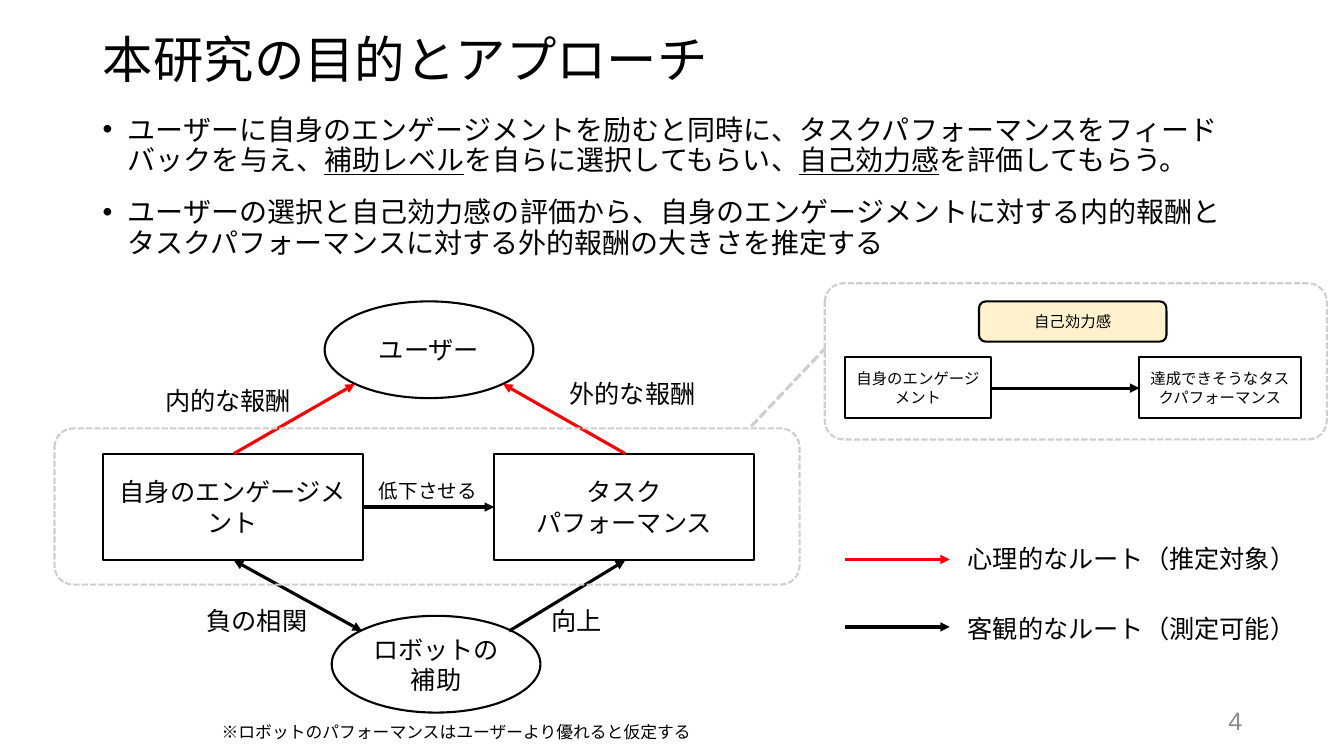
from lxml import etree
from pptx import Presentation
from pptx.dml.color import RGBColor
from pptx.enum.dml import MSO_LINE
from pptx.enum.shapes import MSO_CONNECTOR, MSO_SHAPE
from pptx.enum.text import MSO_ANCHOR, MSO_AUTO_SIZE, PP_ALIGN
from pptx.oxml.ns import qn
from pptx.util import Inches, Pt

STRAIGHT = MSO_CONNECTOR.STRAIGHT
RECTANGLE, ELLIPSE, ROUNDED = MSO_SHAPE.RECTANGLE, MSO_SHAPE.OVAL, MSO_SHAPE.ROUNDED_RECTANGLE
DASH = MSO_LINE.SQUARE_DOT
LEFT, CENTER, RIGHT = PP_ALIGN.LEFT, PP_ALIGN.CENTER, PP_ALIGN.RIGHT
TOP, MIDDLE = MSO_ANCHOR.TOP, MSO_ANCHOR.MIDDLE
FIXED = MSO_AUTO_SIZE.NONE
FONT = "Arial"
COLORS = {
    "white": "FFFFFF",
    "black": "000000",
    "red": "FF0000",
    "cream": "FFF2CC",
    "frame": "D0CECE",
    "number": "8C8C8C",
}
GOALS = [
    [
        ("ユーザーに自身のエンゲージメントを励むと同時に、タスクパフォーマンスをフィードバックを与え、", False),
        ("補助レベル", True),
        ("を自らに選択してもらい、", False),
        ("自己効力感", True),
        ("を評価してもらう。", False),
    ],
    [
        ("ユーザーの選択と自己効力感の評価から、自身のエンゲージメントに対する内的報酬と"
         "タスクパフォーマンスに対する外的報酬の大きさを推定する", False),
    ],
]


def color(name):
    return RGBColor.from_string(COLORS[name])


def format_text(frame, size, align, anchor, tint="black"):
    frame.auto_size = FIXED
    frame.vertical_anchor = anchor
    for para in frame.paragraphs:
        para.alignment = align
        for span in para.runs:
            span.font.name = FONT
            span.font.size = Pt(size)
            span.font.color.rgb = color(tint)


def add_title(page, text):
    title = page.shapes.title
    title.left, title.top = Inches(0.92), Inches(0.15)
    title.width, title.height = Inches(11.5), Inches(0.93)
    title.text_frame.text = text
    title.text_frame.paragraphs[0].line_spacing = 0.9
    format_text(title.text_frame, 36, LEFT, MIDDLE)


def add_label(page, place, text, size=18, wrap=False, align=LEFT, anchor=TOP, tint="black"):
    box = page.shapes.add_textbox(*map(Inches, place))
    box.text_frame.word_wrap = wrap
    box.text_frame.text = text
    format_text(box.text_frame, size, align, anchor, tint)


def add_bullets(page, place, items):
    frame = page.shapes.add_textbox(*map(Inches, place)).text_frame
    frame.word_wrap = True
    for index, item in enumerate(items):
        para = frame.add_paragraph() if index else frame.paragraphs[0]
        para.line_spacing = 0.9
        para.space_before = Pt(16)
        for text, underlined in item:
            span = para.add_run()
            span.text = text
            span.font.underline = underlined
        properties = para._p.get_or_add_pPr()
        properties.set("marL", str(Inches(0.25)))
        properties.set("indent", str(Inches(-0.25)))
        etree.SubElement(properties, qn("a:buFont"), typeface=FONT)
        etree.SubElement(properties, qn("a:buChar"), char="•")
    format_text(frame, 20, LEFT, TOP)


def add_node(page, kind, place, text, size=18, fill="white"):
    node = page.shapes.add_shape(kind, *map(Inches, place))
    node.shadow.inherit = False
    node.fill.solid()
    node.fill.fore_color.rgb = color(fill)
    node.line.color.rgb = color("black")
    node.line.width = Pt(1.5)
    node.text_frame.word_wrap = True
    node.text_frame.text = text
    format_text(node.text_frame, size, CENTER, MIDDLE)


def add_frame(page, place):
    frame = page.shapes.add_shape(ROUNDED, *map(Inches, place))
    frame.shadow.inherit = False
    frame.adjustments[0] = 0.12
    frame.fill.background()
    frame.line.color.rgb = color("frame")
    frame.line.width = Pt(1.5)
    frame.line.dash_style = DASH


def add_line(page, start, end, tint="black", ends=("tailEnd",), dash=None):
    link = page.shapes.add_connector(STRAIGHT, *map(Inches, start + end))
    link.line.color.rgb = color(tint)
    link.line.width = Pt(2.25)
    if dash:
        link.line.dash_style = dash
    outline = link.line._get_or_add_ln()
    for end_name in ends:
        etree.SubElement(outline, qn("a:" + end_name), type="triangle")
    etree.SubElement(link._element.spPr, qn("a:effectLst"))


def add_reward_model(page):
    add_node(page, ELLIPSE, (3.22, 2.99, 2.07, 0.96), "ユーザー")
    add_node(page, RECTANGLE, (4.9, 4.5, 2.58, 1.06), "タスク\nパフォーマンス")
    add_node(page, RECTANGLE, (1.02, 4.5, 2.58, 1.06), "自身のエンゲージメント")
    add_node(page, ELLIPSE, (3.29, 6.11, 2.07, 0.96), "ロボットの補助")
    add_line(page, (2.32, 4.5), (3.52, 3.81), "red")
    add_line(page, (6.2, 4.5), (4.99, 3.81), "red")
    add_line(page, (3.61, 5.03), (4.9, 5.03))
    add_line(page, (5.05, 6.26), (6.2, 5.56))
    add_line(page, (3.59, 6.26), (2.32, 5.56), ends=("headEnd", "tailEnd"))
    add_frame(page, (0.54, 4.25, 7.39, 1.55))
    add_label(page, (5.55, 3.7, 1.46, 0.4), "外的な報酬")
    add_label(page, (1.54, 3.77, 1.46, 0.4), "内的な報酬")
    add_label(page, (1.95, 5.96, 1.21, 0.4), "負の相関")
    add_label(page, (5.37, 5.96, 0.71, 0.4), "向上")
    add_label(page, (3.66, 4.7, 1.18, 0.34), "低下させる", 14)
    add_label(page, (2.1, 7.11, 4.91, 0.3), "※ロボットのパフォーマンスはユーザーより優れると仮定する", 12)


def add_efficacy_detail(page):
    add_node(page, RECTANGLE, (11.3, 3.54, 1.6, 0.61), "達成できそうなタスクパフォーマンス", 11)
    add_node(page, RECTANGLE, (8.38, 3.54, 1.45, 0.61), "自身のエンゲージメント", 11)
    add_line(page, (9.83, 3.85), (11.3, 3.85))
    add_node(page, ROUNDED, (9.71, 2.99, 1.86, 0.4), "自己効力感", 11, "cream")
    add_line(page, (7.45, 4.23), (8.18, 3.46), "frame", (), DASH)
    add_frame(page, (8.18, 2.81, 4.98, 1.55))


def add_legend(page):
    entries = [
        (5.55, 5.34, "red", "心理的なルート（推定対象）"),
        (6.22, 6.04, "black", "客観的なルート（測定可能）"),
    ]
    for line_y, label_y, tint, text in entries:
        add_line(page, (8.38, line_y), (9.42, line_y), tint)
        add_label(page, (9.5, label_y, 3.7, 0.4), text, wrap=True)


def main():
    deck = Presentation()
    deck.slide_width, deck.slide_height = Inches(13.33), Inches(7.5)
    page = deck.slides.add_slide(deck.slide_layouts[5])
    add_title(page, "本研究の目的とアプローチ")
    add_bullets(page, (0.92, 1.1, 11.5, 1.64), GOALS)
    add_label(page, (9.42, 6.95, 3, 0.4), "4", wrap=True, align=RIGHT, anchor=MIDDLE, tint="number")
    add_reward_model(page)
    add_efficacy_detail(page)
    add_legend(page)
    deck.save("out.pptx")


main()
